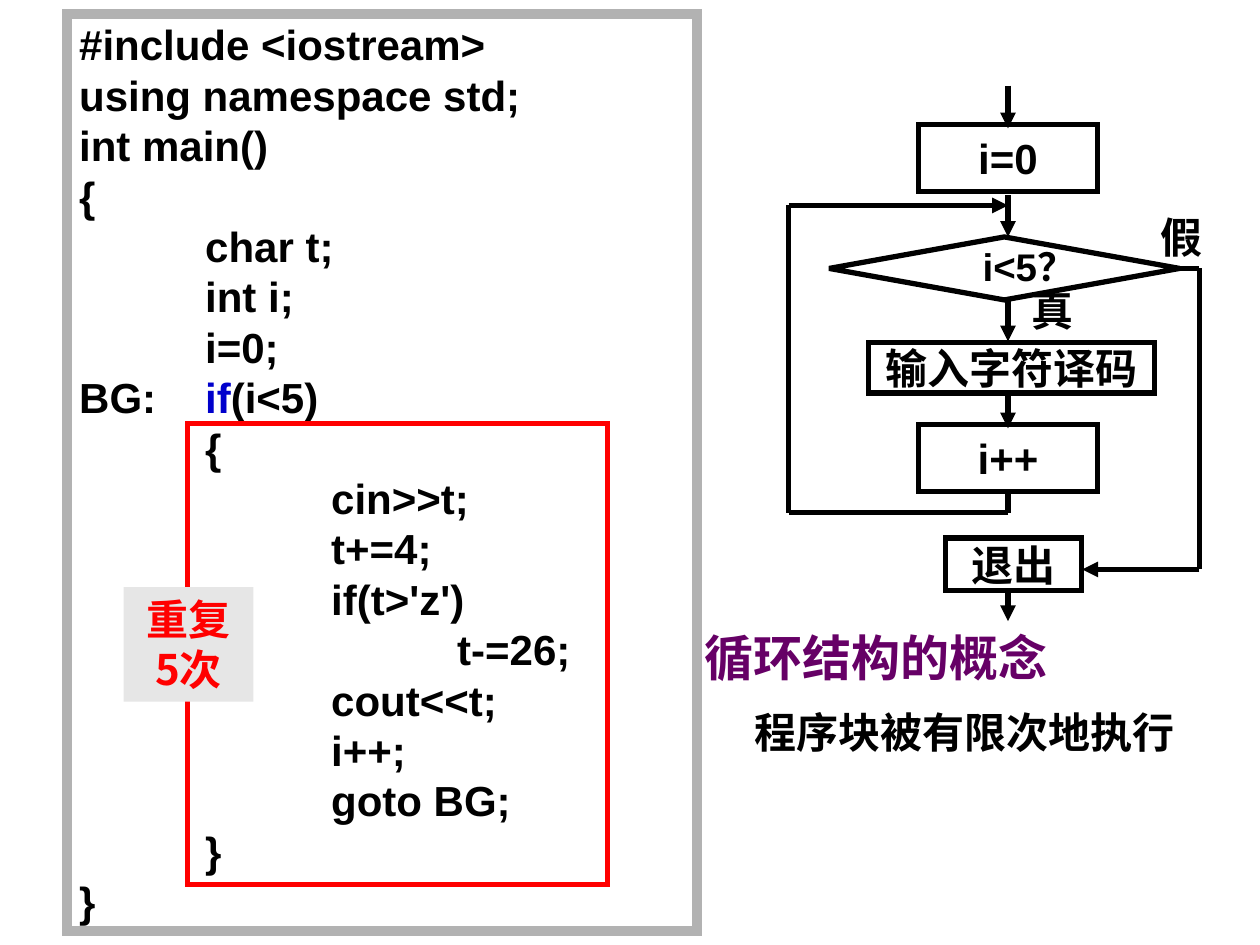
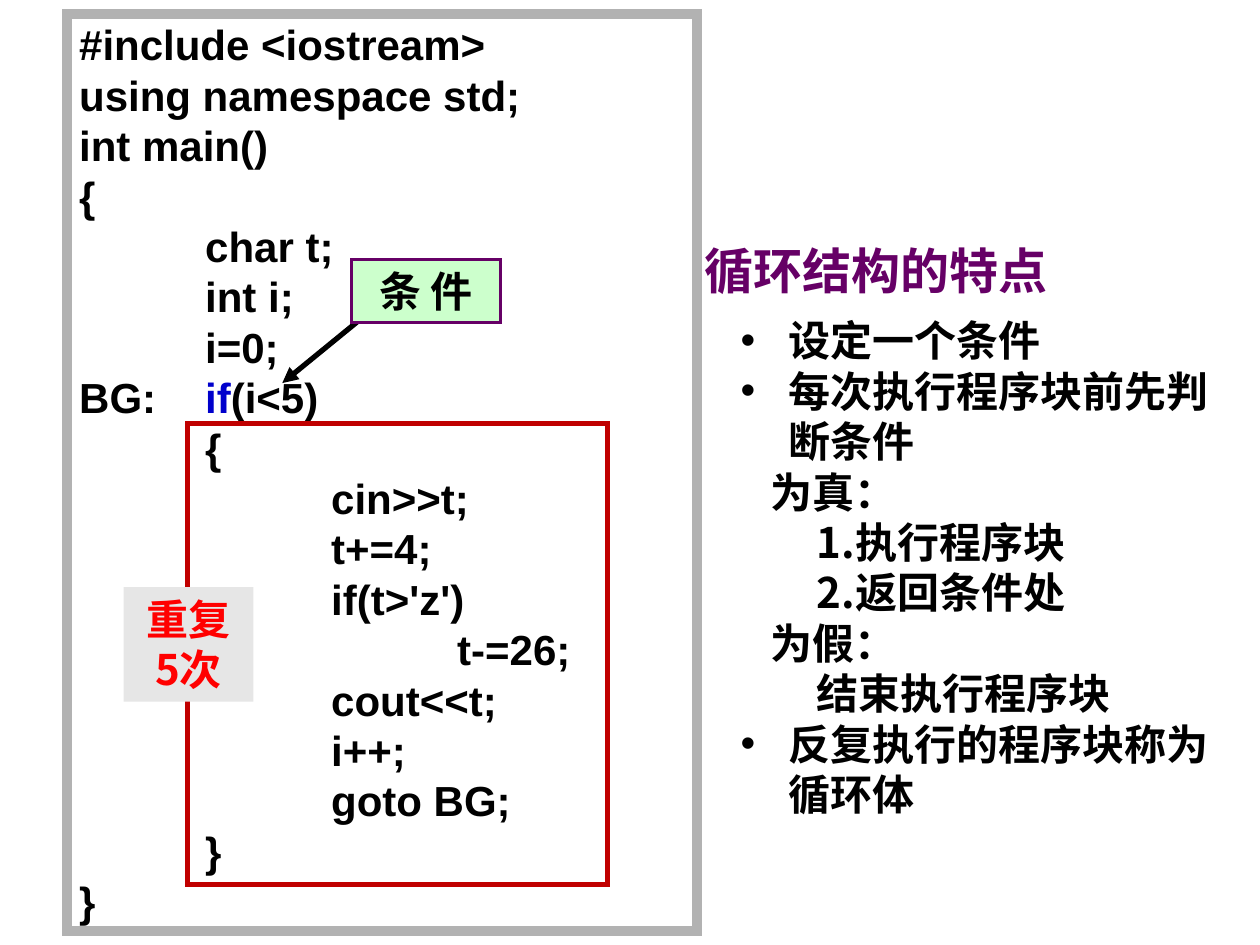
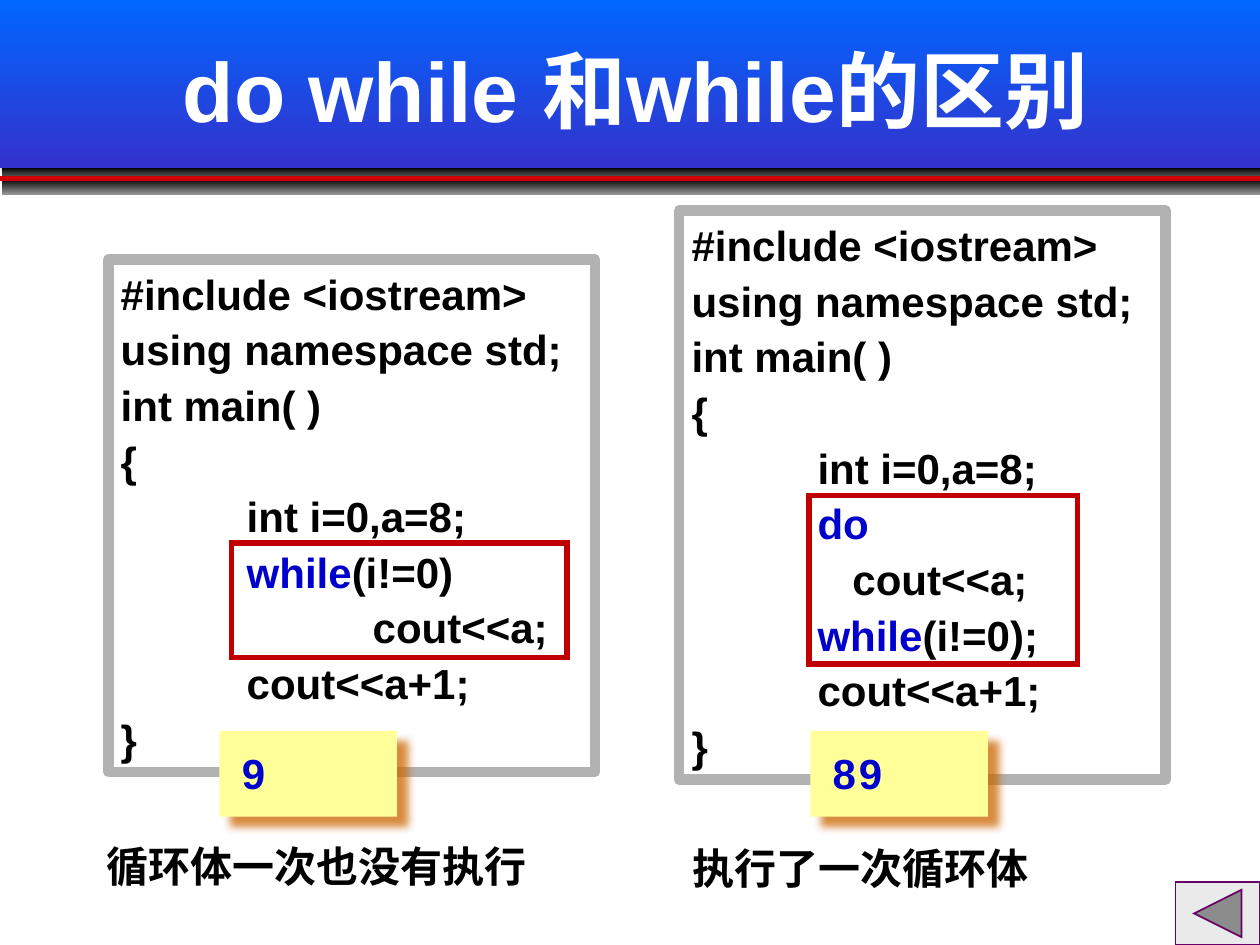
"""Builds three slides on loop structures and on while against do while."""
from collections import namedtuple
from dataclasses import dataclass

from lxml.etree import SubElement
from pptx import Presentation
from pptx.dml.color import RGBColor
from pptx.enum.shapes import MSO_CONNECTOR as Connector, MSO_SHAPE as Preset
from pptx.enum.text import MSO_ANCHOR as Anchor, PP_ALIGN as Align
from pptx.oxml.ns import qn
from pptx.util import Pt


@dataclass(frozen=True)
class Theme:
    """Colours, fonts and type sizes of the deck."""
    latin: str = "Arial"
    cjk: str = "Noto Sans CJK SC"
    title: int = 48
    heading: int = 28
    body: int = 24
    small: int = 22
    leading: float = 1.2
    black: str = "000000"
    white: str = "FFFFFF"
    keyword: str = "0000CC"
    purple: str = "660066"
    red: str = "FF0000"
    dark_red: str = "C00000"
    rule: str = "CC0000"
    band: tuple = ("0066FF", "3333CC")
    bar: tuple = ("000000", "929292")
    frame: str = "B2B2B2"
    tag: str = "E6E6E6"
    mint: str = "CCFFCC"
    note: str = "FFFF99"
    note_shadow: str = "CC6600"
    band_shadow: str = "808080"
    button: str = "EAEAEA"


THEME = Theme()


class Box(namedtuple("Box", "left top width height")):
    """A rectangle in points."""

    def inside(self, left, top, width, height):
        """Return a box measured from this box's corner."""
        return Box(self.left + left, self.top + top, width, height)

    def point(self, x, y):
        """Return a point measured from this box's corner."""
        return self.left + x, self.top + y

    def lengths(self):
        """Return the four lengths for python-pptx."""
        return [Pt(value) for value in self]


PROGRAM_BOX = Box(38.2, 7.9, 360, 524.2)
PROGRAM = [
    "#include <iostream>", "using namespace std;", "int main()", "{",
    "\tchar t;", "\tint i;", "\ti=0;", ("BG:\t", "if", "(i<5)"), "\t{",
    "\t\tcin>>t;", "\t\tt+=4;", "\t\tif(t>'z')", "\t\t\tt-=26;",
    "\t\tcout<<t;", "\t\ti++;", "\t\tgoto BG;", "\t}", "}",
]
OPENING = ["#include <iostream>", "using namespace std;", "int main( )", "{",
           "\tint i=0,a=8;"]
CLOSING = ["\tcout<<a+1;", "}"]
WHILE_CODE = OPENING + [("\t", "while", "(i!=0)"), "\t\tcout<<a;"] + CLOSING
DO_CODE = OPENING + [("\t", "do"), "\t   cout<<a;",
                     ("\t", "while", "(i!=0);")] + CLOSING
BULLET, BRANCH, STEP = (27.4, -27.4, "•"), (16.8, 0, None), (43.5, 0, None)
FEATURES = [
    ("设定一个条件", BULLET),
    ("每次执行程序块前先判断条件", BULLET),
    ("为真：", BRANCH),
    ("1.执行程序块", STEP),
    ("2.返回条件处", STEP),
    ("为假：", BRANCH),
    ("结束执行程序块", STEP),
    ("反复执行的程序块称为循环体", BULLET),
]


def write(shape, paragraphs, size=THEME.body, color=THEME.black,
          font=THEME.latin, align=Align.LEFT, anchor=Anchor.TOP, space=0,
          inset=(7.2, 3.6), indents=None, tabs=False):
    """Write paragraphs; every second piece of a tuple is a keyword."""
    frame = shape.text_frame
    frame.word_wrap = True
    frame.vertical_anchor = anchor
    frame.margin_left, frame.margin_right = Pt(inset[0]), Pt(7.2 if inset[0] else 0)
    frame.margin_top = frame.margin_bottom = Pt(inset[1])
    for index, pieces in enumerate(paragraphs):
        paragraph = frame.add_paragraph() if index else frame.paragraphs[0]
        properties = paragraph._p.get_or_add_pPr()
        if indents:
            indent(properties, *indents[index])
        if tabs:
            stops = SubElement(properties, qn("a:tabLst"))
            for stop in (72, 144, 216):
                SubElement(stops, qn("a:tab"), pos=str(Pt(stop)), algn="l")
        paragraph.alignment = align
        paragraph.line_spacing = Pt(size * THEME.leading)
        paragraph.space_before = Pt(space if index else 0)
        pieces = (pieces,) if isinstance(pieces, str) else pieces
        for position, text in enumerate(pieces):
            run = paragraph.add_run()
            run.text = text
            run.font.name = font
            run.font.size = Pt(size)
            run.font.bold = True
            run.font.color.rgb = RGBColor.from_string(
                THEME.keyword if position % 2 else color)
            SubElement(run._r.get_or_add_rPr(), qn("a:ea"), typeface=THEME.cjk)
    return shape


def indent(properties, margin, first, bullet):
    """Set the margin, first-line indent and bullet of a paragraph."""
    properties.set("marL", str(Pt(margin)))
    properties.set("indent", str(Pt(first)))
    if bullet:
        SubElement(properties, qn("a:buFont"), typeface=THEME.latin)
        SubElement(properties, qn("a:buChar"), char=bullet)


def add_text(slide, box, text, **style):
    """Add a text box holding one paragraph."""
    return write(slide.shapes.add_textbox(*box.lengths()), [text], **style)


def add_box(slide, box, fill=None, line=None, width=3, preset=Preset.RECTANGLE,
            join="miter"):
    """Add a preset shape; a pair of colours makes a downward gradient."""
    shape = slide.shapes.add_shape(preset, *box.lengths())
    shape.shadow.inherit = False
    if isinstance(fill, tuple):
        shape.fill.gradient()
        shape.fill.gradient_angle = 270
        for stop, color in zip(shape.fill.gradient_stops, fill):
            stop.color.rgb = RGBColor.from_string(color)
    elif fill:
        shape.fill.solid()
        shape.fill.fore_color.rgb = RGBColor.from_string(fill)
    else:
        shape.fill.background()
    if line:
        shape.line.color.rgb = RGBColor.from_string(line)
        shape.line.width = Pt(width)
        SubElement(shape.line._get_or_add_ln(), qn("a:" + join))
    else:
        shape.line.fill.background()
    return shape


def cast_shadow(shape, color, distance):
    """Give a shape a soft shadow to the lower right."""
    effects = shape._element.spPr.find(qn("a:effectLst"))
    shadow = SubElement(effects, qn("a:outerShdw"), blurRad=str(Pt(5)),
                        dist=str(Pt(distance)), dir="2700000", algn="tl",
                        rotWithShape="0")
    shade = SubElement(shadow, qn("a:srgbClr"), val=color)
    SubElement(shade, qn("a:alpha"), val="75000")


def add_route(slide, points, color=THEME.black, arrow=True):
    """Join points with straight connectors, the last with an arrowhead."""
    for start, end in zip(points, points[1:]):
        connector = slide.shapes.add_connector(
            Connector.STRAIGHT, *[Pt(value) for value in start + end])
        connector.line.color.rgb = RGBColor.from_string(color)
        connector.line.width = Pt(3)
        SubElement(connector._element.spPr, qn("a:effectLst"))
        if arrow and end == points[-1]:
            SubElement(connector.line._get_or_add_ln(), qn("a:tailEnd"),
                       type="triangle")


def add_program(slide, box, loop_color):
    """Place the framed goto program with its marked loop body."""
    frame = add_box(slide, box, line=THEME.frame, width=6)
    write(frame, PROGRAM, anchor=Anchor.MIDDLE, tabs=True)
    add_box(slide, box.inside(69.1, 234, 239.8, 263.5), line=loop_color)
    tag = add_box(slide, box.inside(32.4, 327.6, 74.2, 65.5), THEME.tag)
    write(tag, ["重复5次"], color=THEME.red, font=THEME.cjk, align=Align.CENTER)


def add_heading(slide, box, text):
    """Place a purple section heading."""
    add_text(slide, box, text, size=THEME.heading, color=THEME.purple,
             anchor=Anchor.MIDDLE, inset=(20.5, 3.6))


def add_flowchart(slide, box):
    """Place the flowchart of the loop."""
    axis, back, leave = 126, 0.7, 235.4
    steps = [("i=0", 126, 23.3, 102.2, 38.2), ("输入字符译码", 128, 147.8, 163.4, 28.8),
             ("i++", 126, 194.6, 102.2, 38.2), ("退出", 129, 259.4, 77.8, 30.2)]
    for text, center, top, width, height in steps:
        step = add_box(slide, box.inside(center - width / 2, top, width, height),
                       THEME.white, THEME.black)
        write(step, [text], align=Align.CENTER, anchor=Anchor.MIDDLE, inset=(7.2, 0.7))
    add_box(slide, box.inside(23.8, 87.4, 200.2, 36), THEME.white, THEME.black,
            preset=Preset.FLOWCHART_DECISION)
    add_text(slide, box.inside(104.4, 87.4, 77.8, 33.8), "i<5？", size=THEME.small)
    for text, left, top in (("真", 132.5, 111.1), ("假", 206, 69.4)):
        add_text(slide, box.inside(left, top, 41.8, 36), text, font=THEME.cjk)
    routes = [[(axis, top), (axis, bottom)] for top, bottom in (
        (1, 25.4), (63.6, 87.4), (123.4, 147.1), (176.6, 196.8), (289, 307))]
    routes.append([(axis, 233.5), (axis, 245), (back, 245), (back, 69.4), (axis, 69.4)])
    routes.append([(217.4, 105.4), (leave, 105.4), (leave, 277.4), (168.5, 277.4)])
    for route in routes:
        add_route(slide, [box.point(*point) for point in route])


def add_condition(slide, box):
    """Place the condition label and its pointer into the code."""
    add_route(slide, [box.point(23, 19.5), box.point(-39.6, 70.6)])
    label = add_box(slide, box, THEME.mint, THEME.purple, 1.5)
    write(label, ["条 件"], font=THEME.cjk, align=Align.CENTER, inset=(0, 3.6))


def add_features(slide, box):
    """Place the indented list of loop features."""
    texts, indents = zip(*FEATURES)
    write(slide.shapes.add_textbox(*box.lengths()), texts, font=THEME.cjk,
          indents=indents)


def add_title_band(slide, box, text):
    """Place the gradient title band with its bars and red rule."""
    band = add_box(slide, box, THEME.band)
    cast_shadow(band, THEME.band_shadow, 3)
    for top in (box.height, box.height + 6.4):
        add_box(slide, box.inside(0.9, top, box.width - 0.9, 8.7), THEME.bar)
    rule = box.height + 6.2
    add_route(slide, [box.point(0, rule), box.point(box.width, rule)],
              THEME.rule, arrow=False)
    add_text(slide, box.inside(30.2, 5.8, 666, 90), text, size=THEME.title,
             color=THEME.white, align=Align.CENTER, anchor=Anchor.MIDDLE)


def add_example(slide, box, code, loop, note, digits, caption, caption_place):
    """Place a framed program, its marked loop, its output and a caption."""
    frame = add_box(slide, box, line=THEME.frame, width=6, join="round")
    write(frame, code, anchor=Anchor.MIDDLE, space=3, tabs=True)
    add_box(slide, box.inside(*loop), line=THEME.dark_red)
    note_box = box.inside(*note, 101.5, 49)
    cast_shadow(add_box(slide, note_box, THEME.note), THEME.note_shadow, 8.5)
    for index, (digit, width) in enumerate(digits):
        add_text(slide, note_box.inside(5.8 + 15 * index, 5.8, width, 36), digit,
                 color=THEME.keyword)
    add_text(slide, box.inside(*caption_place, 295, 36), caption)


def build_concept(slide):
    """Build the slide on the concept of a loop."""
    add_flowchart(slide, Box(450, 48, 248, 307))
    add_program(slide, PROGRAM_BOX, THEME.red)
    add_text(slide, Box(424, 400.3, 278, 36), "程序块被有限次地执行",
             anchor=Anchor.BOTTOM)
    add_heading(slide, Box(382.3, 355, 227, 41), "循环结构的概念")


def build_features(slide):
    """Build the slide on the features of a loop."""
    add_program(slide, PROGRAM_BOX, THEME.dark_red)
    add_heading(slide, Box(382.3, 134, 227, 41), "循环结构的特点")
    add_features(slide, Box(416.2, 176.4, 295.2, 327))
    add_condition(slide, Box(200.9, 148.3, 85, 36))


def build_comparison(slide):
    """Build the slide comparing while with do while."""
    add_title_band(slide, Box(0, 0, 720, 95.8), "do while 和while的区别")
    add_example(slide, Box(61.9, 148.3, 278, 293), WHILE_CODE,
                (70.6, 162, 191.5, 65.5), (63.4, 269.3), [("9", 107)],
                "循环体一次也没有执行", (-7.9, 328.3))
    add_example(slide, Box(388.1, 120.2, 278, 325.4), DO_CODE,
                (74.2, 162.8, 153.4, 96.5), (74.9, 297.4), [("8", 44), ("9", 77)],
                "执行了一次循环体", (0.7, 357.9))
    add_box(slide, Box(671.8, 504, 48.2, 36), THEME.button, THEME.purple, 1,
            Preset.ACTION_BUTTON_BACK_OR_PREVIOUS)


def main():
    """Build and save the presentation."""
    presentation = Presentation()
    presentation.slide_width, presentation.slide_height = Pt(720), Pt(540)
    for build in (build_concept, build_features, build_comparison):
        build(presentation.slides.add_slide(presentation.slide_layouts[6]))
    presentation.save("out.pptx")


if __name__ == "__main__":
    main()
